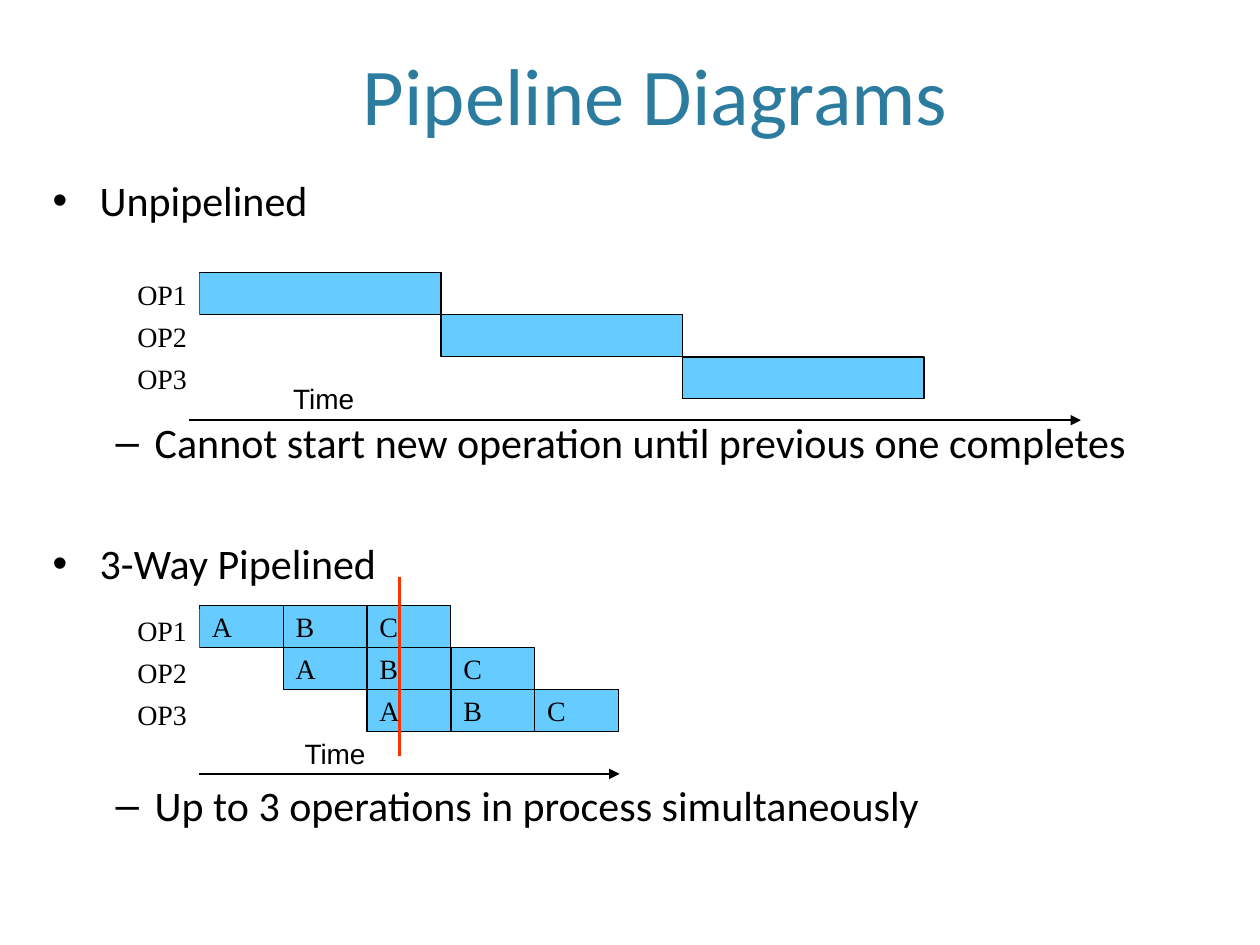
from lxml import etree
from pptx import Presentation
from pptx.dml.color import RGBColor
from pptx.enum.shapes import MSO_CONNECTOR, MSO_SHAPE
from pptx.enum.text import MSO_ANCHOR, PP_ALIGN
from pptx.oxml.ns import qn
from pptx.util import Cm, Pt

LEFT, RIGHT, CENTER = PP_ALIGN.LEFT, PP_ALIGN.RIGHT, PP_ALIGN.CENTER
TOP, MIDDLE, BOTTOM = MSO_ANCHOR.TOP, MSO_ANCHOR.MIDDLE, MSO_ANCHOR.BOTTOM
RECT, STRAIGHT = MSO_SHAPE.RECTANGLE, MSO_CONNECTOR.STRAIGHT

COLORS = {"title": "2C7C9F", "text": "000000", "bar": "66CCFF",
          "label": "FFFFFF", "marker": "FF3300"}

TITLE = "Pipeline Diagrams"
# text, level, space before in points (leaves room for the diagrams)
BULLETS = [
    ("Unpipelined", 0, 0),
    ("Cannot start new operation until previous one completes", 1, 109.5),
    ("3-Way Pipelined", 0, 40.4),
    ("Up to 3 operations in process simultaneously", 1, 109.5),
]
# bullet character, left margin, hanging indent
LEVELS = [("•", Cm(0.95), Cm(-0.95)), ("–", Cm(2.06), Cm(-0.79))]

OPS = ["OP1", "OP2", "OP3"]
# Each operation starts one stage ("shift" cells) after the one before it
DIAGRAMS = [
    {"stages": [""], "cell": 4.87, "top": 5.5, "label_top": 5.5,
     "time": (5.66, 7.57), "axis": (3.81, 21.79, 8.47)},
    {"stages": ["A", "B", "C"], "cell": 1.69, "top": 12.2, "label_top": 12.28,
     "time": (5.89, 14.73), "axis": (4.02, 12.49, 15.6)},
]
BARS_LEFT, ROW = 4.02, 0.847
LABEL_LEFT, LABEL_WIDTH = 1.69, 2.33
MARKER = (8.05, 11.63, 8.05, 15.24)


def rgb(name):
    return RGBColor.from_string(COLORS[name])


def write(p, text, size, font, color="text", align=LEFT):
    p.alignment = align
    r = p.add_run()
    r.text = text
    for key, value in {"size": Pt(size), "name": font}.items():
        setattr(r.font, key, value)
    r.font.color.rgb = rgb(color)


def add_text_box(shapes, box, wrap=True, anchor=TOP):
    tf = shapes.add_textbox(*map(Cm, box)).text_frame
    tf.word_wrap, tf.vertical_anchor = wrap, anchor
    return tf


def add_block(shapes, box, fill, text="", align=LEFT, outlined=True):
    sp = shapes.add_shape(RECT, *map(Cm, box))
    sp.shadow.inherit = False
    sp.fill.solid()
    sp.fill.fore_color.rgb = rgb(fill)
    if outlined:
        sp.line.color.rgb, sp.line.width = rgb("text"), Pt(0.75)
    else:
        sp.line.fill.background()
    if text:
        tf = sp.text_frame
        tf.word_wrap, tf.vertical_anchor = False, MIDDLE
        write(tf.paragraphs[0], text, 16, "Times New Roman", align=align)


def add_line(shapes, ends, color, width, arrow=False):
    line = shapes.add_connector(STRAIGHT, *map(Cm, ends))
    line.line.color.rgb, line.line.width = rgb(color), Pt(width)
    if arrow:
        etree.SubElement(line.line._get_or_add_ln(), qn("a:tailEnd"), type="triangle")
    etree.SubElement(line._element.spPr, qn("a:effectLst"))


def add_bullet(p, level):
    char, margin, indent = LEVELS[level]
    p.level = level
    pPr = p._p.get_or_add_pPr()
    pPr.set("marL", str(margin))
    pPr.set("indent", str(indent))
    color = etree.SubElement(pPr, qn("a:buClr"))
    etree.SubElement(color, qn("a:srgbClr"), val=COLORS["text"])
    etree.SubElement(pPr, qn("a:buFont"), typeface="Arial")
    etree.SubElement(pPr, qn("a:buChar"), char=char)


def add_diagram(shapes, d):
    left, right, y = d["axis"]
    add_line(shapes, (left, y, right, y), "text", 1, arrow=True)
    tf = add_text_box(shapes, (*d["time"], 1.75, 0.91), wrap=False)
    write(tf.paragraphs[0], "Time", 16, "Arial")
    for row in range(len(OPS)):
        for col, stage in enumerate(d["stages"], start=row):
            box = (BARS_LEFT + col * d["cell"], d["top"] + row * ROW, d["cell"], ROW)
            add_block(shapes, box, "bar", stage)
    for row, op in enumerate(OPS):
        box = (LABEL_LEFT, d["label_top"] + row * ROW, LABEL_WIDTH, ROW)
        add_block(shapes, box, "label", op, RIGHT, outlined=False)


def main():
    prs = Presentation()
    prs.slide_width, prs.slide_height = Cm(25.4), Cm(19.05)
    s = prs.slides.add_slide(prs.slide_layouts[6])

    tf = add_text_box(s.shapes, (1.12, 0.69, 24.18, 2.16), anchor=BOTTOM)
    tf.margin_top = tf.margin_bottom = 0
    write(tf.paragraphs[0], TITLE, 46, "Calibri", "title", CENTER)

    tf = add_text_box(s.shapes, (0.81, 3.4, 23.04, 14.48))
    for i, (text, level, before) in enumerate(BULLETS):
        p = tf.add_paragraph() if i else tf.paragraphs[0]
        add_bullet(p, level)
        if before:
            p.space_before = Pt(before)
        write(p, text, 24, "Calibri")

    for d in DIAGRAMS:
        add_diagram(s.shapes.add_group_shape().shapes, d)
    add_line(s.shapes, MARKER, "marker", 1.5)
    prs.save("out.pptx")


if __name__ == "__main__":
    main()
